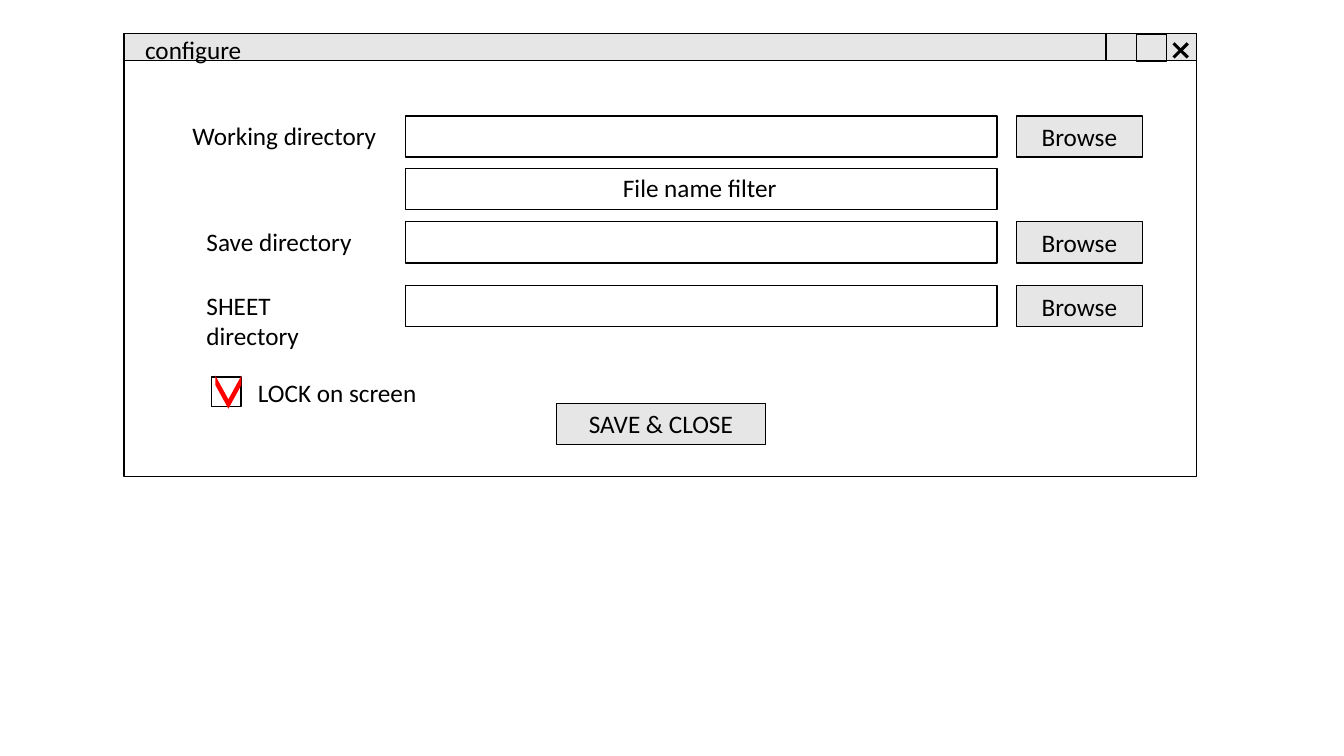
from collections import namedtuple

import pptx
import pptx.dml.color
import pptx.enum.shapes
import pptx.enum.text
import pptx.oxml.ns
import pptx.util
from lxml import etree

Inches = pptx.util.Inches
Pt = pptx.util.Pt
Preset = pptx.enum.shapes.MSO_SHAPE
Align = pptx.enum.text.PP_ALIGN
Anchor = pptx.enum.text.MSO_ANCHOR
Box = namedtuple("Box", "left top width height")
Theme = namedtuple("Theme", "ink panel paper tick font size border cross")

THEME = Theme(ink="000000", panel="E7E6E6", paper="FFFFFF", tick="FF0000",
              font="Calibri", size=18, border=1, cross=2.25)
WINDOW = Box(1.23, 0.33, 10.64, 4.4)
BAR_HEIGHT = 0.27
ROW_HEIGHT = 0.41
LABEL_HEIGHT = 0.4


def rgb(value):
    """Return a colour from its hex value."""
    return pptx.dml.color.RGBColor.from_string(value)


def within(box, left, top, width, height):
    """Return a box whose offset is measured from the corner of another."""
    return Box(box.left + left, box.top + top, width, height)


def lengths(box):
    """Return the four lengths of a box."""
    return [Inches(value) for value in box]


def write(shape, text, align, **frame_format):
    """Write one line of text in the theme's type."""
    frame = shape.text_frame
    for name, value in frame_format.items():
        setattr(frame, name, value)
    paragraph = frame.paragraphs[0]
    paragraph.alignment = align
    run = paragraph.add_run()
    run.text = text
    for name, value in {"name": THEME.font, "size": Pt(THEME.size)}.items():
        setattr(run.font, name, value)
    run.font.color.rgb = rgb(THEME.ink)


def add_panel(slide, box, fill=None, border=THEME.ink, preset=Preset.RECTANGLE):
    """Add a preset shape with an optional fill and border."""
    panel = slide.shapes.add_shape(preset, *lengths(box))
    panel.shadow.inherit = False
    if fill:
        panel.fill.solid()
        panel.fill.fore_color.rgb = rgb(fill)
    else:
        panel.fill.background()
    if border:
        panel.line.color.rgb = rgb(border)
        panel.line.width = Pt(THEME.border)
    else:
        panel.line.fill.background()
    return panel


def add_label(slide, box, text, wrap=False):
    """Add a left-aligned label."""
    label = slide.shapes.add_textbox(*lengths(box))
    write(label, text, Align.LEFT, word_wrap=wrap,
          auto_size=pptx.enum.text.MSO_AUTO_SIZE.SHAPE_TO_FIT_TEXT)


def add_button(slide, box, text):
    """Add a grey button with a centred caption."""
    button = add_panel(slide, box, THEME.panel)
    write(button, text, Align.CENTER, vertical_anchor=Anchor.MIDDLE)


def add_cross(slide, box):
    """Add the two strokes of the close mark across a box."""
    right, bottom = box.left + box.width, box.top + box.height
    for start, end in ((box.top, bottom), (bottom, box.top)):
        stroke = slide.shapes.add_connector(
            pptx.enum.shapes.MSO_CONNECTOR.STRAIGHT,
            Inches(box.left), Inches(start), Inches(right), Inches(end))
        stroke.line.color.rgb = rgb(THEME.ink)
        stroke.line.width = Pt(THEME.cross)
        etree.SubElement(stroke._element.spPr, pptx.oxml.ns.qn("a:effectLst"))


def add_title_bar(slide, bar):
    """Add the window's caption bar and its three controls."""
    add_panel(slide, bar, THEME.panel)
    add_label(slide, within(bar, 0.11, -0.04, 1.78, LABEL_HEIGHT), "configure", wrap=True)
    side = 0.3
    for place, drop in enumerate((0, 0.01, 0), start=1):
        control = within(bar, bar.width - place * side, drop, side, bar.height)
        add_panel(slide, control)
    add_cross(slide, within(bar, bar.width - 0.23, 0.1, 0.14, 0.14))


def add_directory_form(slide, form):
    """Add the directory rows and the file name filter."""
    field_left, field_width = 2.79, 5.87
    rows = (("Working directory", 0.58, 2.05, 0, -0.01),
            ("Save directory", 0.72, 1.66, 1.05, 0),
            ("SHEET directory", 0.72, 1.8, 1.68, 0))
    for text, left, width, top, lift in rows:
        add_label(slide, within(form, left, top + lift, width, LABEL_HEIGHT), text)
        add_panel(slide, within(form, field_left, top, field_width, ROW_HEIGHT))
        add_button(slide, within(form, 8.85, top, 1.25, ROW_HEIGHT), "Browse")
    add_panel(slide, within(form, field_left, 0.52, field_width, ROW_HEIGHT))
    add_label(slide, within(form, 4.85, 0.51, 1.75, LABEL_HEIGHT), "File name filter")


def add_footer(slide, footer):
    """Add the lock option and the closing button."""
    add_button(slide, within(footer, 4.29, 0.31, 2.07, ROW_HEIGHT), "SAVE & CLOSE")
    add_panel(slide, within(footer, 0.87, 0.05, 0.29, 0.29), THEME.paper)
    add_label(slide, within(footer, 1.23, 0, 1.79, LABEL_HEIGHT), "LOCK on screen")
    tick = add_panel(slide, within(footer, 0.87, 0.07, 0.33, 0.26), THEME.tick,
                     border=None, preset=Preset.CHEVRON)
    tick.adjustments[0] = 0.91
    tick.rotation = 90


def add_configure_window(slide, window):
    """Add the whole configure window."""
    add_panel(slide, window)
    add_title_bar(slide, within(window, 0, 0, window.width, BAR_HEIGHT))
    add_directory_form(slide, within(window, 0, 0.82, window.width, 2.09))
    add_footer(slide, within(window, 0, 3.36, window.width, 0.72))


def main():
    """Build and save the presentation."""
    deck = pptx.Presentation()
    deck.slide_width, deck.slide_height = Inches(13.33), Inches(7.5)
    slide = deck.slides.add_slide(deck.slide_layouts.get_by_name("Blank"))
    add_configure_window(slide, WINDOW)
    deck.save("out.pptx")


main()
